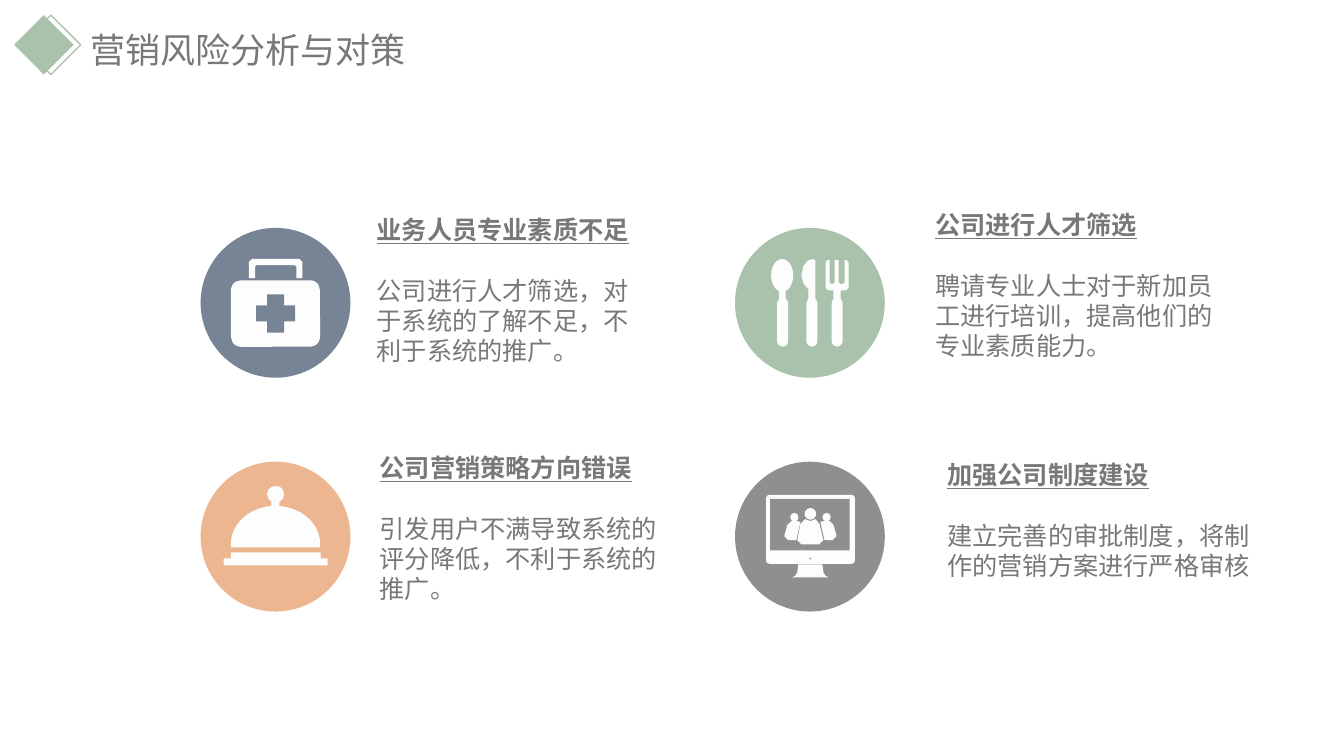
from math import cos, pi, sin

from lxml.etree import SubElement
from pptx import Presentation
from pptx.dml.color import RGBColor as RGB
from pptx.enum.shapes import MSO_SHAPE as SHAPE
from pptx.enum.text import MSO_ANCHOR, MSO_AUTO_SIZE, PP_ALIGN
from pptx.oxml.ns import qn
from pptx.util import Pt


class Theme:
    font = "Noto Sans CJK SC"
    text = RGB.from_string("787878")
    icon = RGB.from_string("FDFDFD")
    blue = RGB.from_string("778495")
    green = RGB.from_string("AAC2AC")
    orange = RGB.from_string("EBB690")
    grey = RGB.from_string("8F8F8F")
    title_size, body_size = 25, 18
    leading = 1.2


def add_solid(outline, box, color, corner=None):
    """Add a filled figure: a preset shape in a box, or a polygon if outline is None."""
    if outline is None:
        points = [(Pt(x), Pt(y)) for x, y in box]
        builder = s.shapes.build_freeform(*points[0], scale=1.0)
        builder.add_line_segments(points[1:], close=True)
        sp = builder.convert_to_shape()
    else:
        sp = s.shapes.add_shape(outline, *map(Pt, box))
    if corner is not None:
        sp.adjustments[0] = corner
    sp.shadow.inherit = False
    sp.fill.solid()
    sp.fill.fore_color.rgb = color
    sp.line.fill.background()
    return sp


def format_paragraph(p, size):
    p.alignment = PP_ALIGN.LEFT
    p.line_spacing = Pt(size * Theme.leading)
    p.font.name = Theme.font
    p.font.size = Pt(size)
    p.font.color.rgb = Theme.text
    defaults = p._p.pPr.find(qn("a:defRPr"))
    SubElement(defaults, qn("a:ea"), typeface=Theme.font)


prs = Presentation()
prs.slide_width, prs.slide_height = Pt(960), Pt(540)
s = prs.slides.add_slide(prs.slide_layouts[5])

# Title with its diamond mark
title = s.shapes.title
title.left, title.top, title.width, title.height = map(Pt, (57.6, 15.1, 240.5, 41))
tf = title.text_frame
tf.text = "营销风险分析与对策"
tf.word_wrap = False
tf.auto_size = MSO_AUTO_SIZE.NONE
tf.vertical_anchor = MSO_ANCHOR.MIDDLE
format_paragraph(tf.paragraphs[0], Theme.title_size)

add_solid(SHAPE.DIAMOND, (10.1, 10.8, 42.5, 42.5), Theme.green)
outline = add_solid(SHAPE.DIAMOND, (15.1, 10.8, 42.5, 42.5), Theme.green)
outline.fill.background()
outline.line.color.rgb = Theme.green
outline.line.width = Pt(1)

# Icon discs in a two by two grid
disc_colors = [[Theme.blue, Theme.green], [Theme.orange, Theme.grey]]
for row, colors in enumerate(disc_colors):
    for col, color in enumerate(colors):
        add_solid(SHAPE.OVAL, (143.3 + 381.7 * col, 162.8 + 167 * row, 107, 107), color)

# First aid case
add_solid(SHAPE.ROUNDED_RECTANGLE, (165, 200.2, 63.6, 47.5), Theme.icon, 0.15)
add_solid(SHAPE.CROSS, (182.9, 210.2, 28, 27.4), Theme.blue, 0.29)
handle = [(177.8, 198.7), (177.8, 187), (180, 185), (213.8, 185), (216, 187),
          (216, 198.7), (211.7, 198.7), (211.7, 190.4), (210.5, 189.4),
          (183.4, 189.4), (182.2, 190.4), (182.2, 198.7)]
add_solid(None, handle, Theme.icon)

# Spoon, knife and fork
for left in (555.1, 576, 594):
    add_solid(SHAPE.ROUNDED_RECTANGLE, (left, 212.8, 7.9, 34.8), Theme.icon, 0.5)
add_solid(SHAPE.OVAL, (550.8, 185, 15.8, 23.5), Theme.icon)
add_solid(SHAPE.RECTANGLE, (556.6, 205, 4.6, 10), Theme.icon)
knife = [(582.5, 185.8), (582.5, 215), (577.4, 215), (577.4, 206.6), (574, 202.5),
         (572.4, 196.6), (574, 190), (577, 186.2), (580.3, 185.1)]
fork = [(589.7, 187.5), (591, 185.8), (592.6, 185.8), (592.6, 202), (594.4, 203.2),
        (596.2, 202), (596.2, 185.8), (599, 185.8), (599, 202), (601.2, 203.2),
        (603.4, 202), (603.4, 185.8), (604.8, 185.8), (606.2, 187.5), (606.2, 205.5),
        (604.5, 207.4), (600.5, 207.4), (600.5, 215), (595.4, 215), (595.4, 207.4),
        (591.5, 207.4), (589.7, 205.5)]
for utensil in (knife, fork):
    add_solid(None, utensil, Theme.icon)

# Service bell
dome = [(196.8 + 31.9 * cos(pi * i / 32), 388.8 - 27.4 * sin(pi * i / 32))
        for i in range(33)]
add_solid(None, [(228.7, 391)] + dome + [(164.9, 391)], Theme.icon)
add_solid(SHAPE.OVAL, (190.8, 347, 12.2, 12), Theme.icon)
add_solid(SHAPE.RECTANGLE, (193.8, 356, 5.8, 8), Theme.icon)
tray = [(164.9, 394.6), (229, 394.6), (229, 398.9), (234, 398.9),
        (234, 403.9), (159.8, 403.9), (159.8, 398.9), (164.9, 398.9)]
add_solid(None, tray, Theme.icon)

# Monitor with a team of three
add_solid(SHAPE.ROUNDED_RECTANGLE, (547.2, 353.5, 63.4, 49.2), Theme.icon, 0.05)
add_solid(SHAPE.RECTANGLE, (550.1, 356.4, 56.9, 36.7), Theme.grey)
add_solid(SHAPE.OVAL, (578.2, 398.2, 1.4, 1.4), Theme.grey)
stand = [(570.2, 403.2), (587.5, 403.2), (588.2, 409), (589.7, 411.2), (592, 412.5),
         (565.8, 412.5), (568.1, 411.2), (569.5, 409)]
right_body = [(586.1, 373), (588, 372.2), (592.6, 372.2), (595.4, 375), (597.6, 383),
              (594.7, 385.9), (589, 385.9)]
left_body = [(2 * 578.9 - x, y) for x, y in right_body]
middle_body = [(571.7, 374.4), (575, 370.8), (578.9, 372.2), (582.5, 370.8),
               (585.4, 374.4), (588.2, 385.9), (585, 388.8), (572.4, 388.8),
               (569.5, 385.9)]
for figure in (stand, right_body, left_body, middle_body):
    add_solid(None, figure, Theme.icon)
for left, top, size in ((564.5, 366.5, 5.8), (587.5, 366.5, 5.8), (574.7, 362.9, 8.3)):
    add_solid(SHAPE.OVAL, (left, top, size, size), Theme.icon)

# Risks on the left, measures on the right
notes = [
    ((262, 149.8, 205.2, 116.6), "业务人员专业素质不足",
     "公司进行人才筛选，对于系统的了解不足，不利于系统的推广。"),
    ((661, 146.2, 216, 116.6), "公司进行人才筛选",
     "聘请专业人士对于新加员工进行培训，提高他们的专业素质能力。"),
    ((264.2, 319.7, 223.2, 116.6), "公司营销策略方向错误",
     "引发用户不满导致系统的评分降低，不利于系统的推广。"),
    ((669.6, 324.7, 234, 94.3), "加强公司制度建设",
     "建立完善的审批制度，将制作的营销方案进行严格审核"),
]
for box, heading, body in notes:
    tf = s.shapes.add_textbox(*map(Pt, box)).text_frame
    tf.word_wrap = True
    tf.text = heading + "\n" + body
    for p in tf.paragraphs:
        format_paragraph(p, Theme.body_size)
    head = tf.paragraphs[0]
    head.font.bold = head.font.underline = True
    head.space_after = Pt(Theme.body_size * Theme.leading)

prs.save("out.pptx")
